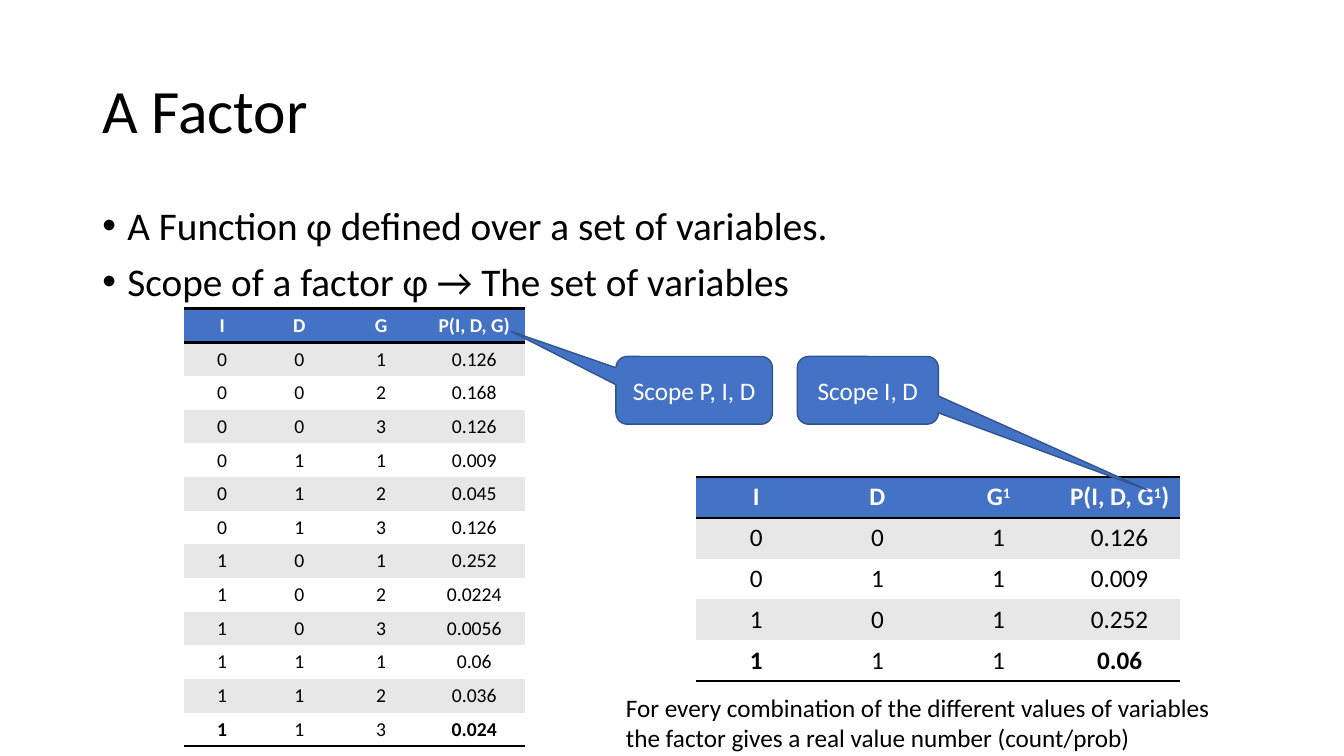
"""Build a slide that explains factors and their scope with two probability tables."""
import pptx
import pptx.util
import pptx.dml.color
import pptx.enum.shapes
import pptx.enum.text
import pptx.oxml
import pptx.oxml.ns
import pptx.oxml.xmlchemy

Pt = pptx.util.Pt
RGBColor = pptx.dml.color.RGBColor
PP_ALIGN = pptx.enum.text.PP_ALIGN
MSO_ANCHOR = pptx.enum.text.MSO_ANCHOR
qn = pptx.oxml.ns.qn

BLACK = RGBColor(0x00, 0x00, 0x00)
WHITE = RGBColor(0xFF, 0xFF, 0xFF)
BLUE = RGBColor(0x44, 0x72, 0xC4)
DARK_BLUE = RGBColor(0x32, 0x54, 0x91)
GREY = RGBColor(0xE7, 0xE7, 0xE7)
FONT = "Calibri"
NO_STYLE = "{2D5ABB26-0587-4C30-8999-92F81FD0307C}"

FULL_FACTOR = [
    ("I", "D", "G", "P(I, D, G)"),
    ("0", "0", "1", "0.126"),
    ("0", "0", "2", "0.168"),
    ("0", "0", "3", "0.126"),
    ("0", "1", "1", "0.009"),
    ("0", "1", "2", "0.045"),
    ("0", "1", "3", "0.126"),
    ("1", "0", "1", "0.252"),
    ("1", "0", "2", "0.0224"),
    ("1", "0", "3", "0.0056"),
    ("1", "1", "1", "0.06"),
    ("1", "1", "2", "0.036"),
    ("1", "1", "3", "0.024"),
]
REDUCED_FACTOR = [
    ("I", "D", "G^1", "P(I, D, G^1^)"),
    ("0", "0", "1", "0.126"),
    ("0", "1", "1", "0.009"),
    ("1", "0", "1", "0.252"),
    ("1", "1", "1", "0.06"),
]


def add_runs(p, text, size, color=BLACK, bold=False):
    """Add text to a paragraph; each ^ switches superscript on or off."""
    for i, part in enumerate(text.split("^")):
        r = p.add_run()
        r.text = part
        r.font.name = FONT
        r.font.size = Pt(size)
        r.font.bold = bold
        r.font.color.rgb = color
        if i % 2:
            r.font._element.set("baseline", "30000")


def add_text(s, box, lines, size, anchor=MSO_ANCHOR.TOP, spacing=1.0):
    """Add a wrapping text box with one paragraph per line and return its frame."""
    tf = s.shapes.add_textbox(*map(Pt, box)).text_frame
    tf.word_wrap = True
    tf.vertical_anchor = anchor
    for i, line in enumerate(lines):
        p = tf.add_paragraph() if i else tf.paragraphs[0]
        p.line_spacing = spacing
        add_runs(p, line, size)
    return tf


def add_bullets(s, box, lines, size):
    """Add a bulleted list with hanging indents."""
    for p in add_text(s, box, lines, size, spacing=0.9).paragraphs:
        p.space_before = Pt(10)
        pPr = p._p.get_or_add_pPr()
        pPr.set("marL", str(Pt(18)))
        pPr.set("indent", str(-Pt(18)))
        for tag, name, value in (("a:buFont", "typeface", "Arial"), ("a:buChar", "char", "•")):
            bullet = pptx.oxml.xmlchemy.OxmlElement(tag)
            bullet.set(name, value)
            pPr.append(bullet)


def add_borders(cell, tags):
    """Draw black rules on the named sides of a cell."""
    tcPr = cell._tc.get_or_add_tcPr()
    for i, tag in enumerate(tags):
        ln = pptx.oxml.parse_xml(
            f'<{tag} {pptx.oxml.ns.nsdecls("a")} w="{Pt(2)}"><a:solidFill>'
            f'<a:srgbClr val="{BLACK}"/></a:solidFill></{tag}>')
        tcPr.insert(i, ln)


def add_factor_table(s, left, top, widths, row_height, rows, size):
    """Add a banded table with a blue header and a ruled last row."""
    sp = s.shapes.add_table(len(rows), len(widths), Pt(left), Pt(top),
                            Pt(sum(widths)), Pt(row_height * len(rows)))
    table = sp.table
    table.first_row = table.horz_banding = False
    table._tbl.tblPr.find(qn("a:tableStyleId")).text = NO_STYLE
    for column, width in zip(table.columns, widths):
        column.width = Pt(width)
    last_row, last_col = len(rows) - 1, len(widths) - 1
    for i, row in enumerate(rows):
        table.rows[i].height = Pt(row_height)
        for j, text in enumerate(row):
            cell = table.cell(i, j)
            header = i == 0
            bold = header or (i == last_row and j in (0, last_col))
            cell.fill.solid()
            cell.fill.fore_color.rgb = BLUE if header else GREY if i % 2 else WHITE
            p = cell.text_frame.paragraphs[0]
            p.alignment = PP_ALIGN.CENTER
            add_runs(p, text, size, WHITE if header else BLACK, bold)
            if header:
                add_borders(cell, ("a:lnT", "a:lnB"))
            elif i == last_row:
                add_borders(cell, ("a:lnB",))


def add_callout(s, box, text, tail):
    """Add a rounded callout whose tail ends at the given relative offset."""
    kind = pptx.enum.shapes.MSO_SHAPE.ROUNDED_RECTANGULAR_CALLOUT
    sp = s.shapes.add_shape(kind, *map(Pt, box))
    sp.shadow.inherit = False
    sp.adjustments[0], sp.adjustments[1] = tail
    sp.fill.solid()
    sp.fill.fore_color.rgb = BLUE
    sp.line.color.rgb = DARK_BLUE
    sp.line.width = Pt(1)
    tf = sp.text_frame
    tf.word_wrap = True
    tf.vertical_anchor = MSO_ANCHOR.MIDDLE
    p = tf.paragraphs[0]
    p.alignment = PP_ALIGN.CENTER
    add_runs(p, text, 18, WHITE)


def main():
    """Build and save the slide."""
    prs = pptx.Presentation()
    prs.slide_width, prs.slide_height = Pt(960), Pt(540)
    s = prs.slides.add_slide(prs.slide_layouts[6])
    add_text(s, (66, 28.8, 828, 104.4), ["A Factor"], 44, MSO_ANCHOR.MIDDLE, 0.9)
    add_bullets(s, (66, 143.8, 828, 342.7), [
        "A Function ɸ defined over a set of variables.",
        "Scope of a factor ɸ → The set of variables",
    ], 28)
    add_factor_table(s, 131.6, 220.5, (54.2, 56, 60.8, 72.4), 24, FULL_FACTOR, 14)
    add_factor_table(s, 497, 340.6, (86.5,) * 4, 29.2, REDUCED_FACTOR, 18)
    add_callout(s, (440, 254.6, 111.8, 48.4), "Scope P, I, D", (-1.17, -0.87))
    add_callout(s, (569.5, 254.6, 100.8, 48.4), "Scope I, D", (1.98, 1.47))
    add_text(s, (440, 491, 453.6, 51), [
        "For every combination of the different values of variables "
        "the factor gives a real value number (count/prob)",
    ], 18)
    prs.save("out.pptx")


if __name__ == "__main__":
    main()
